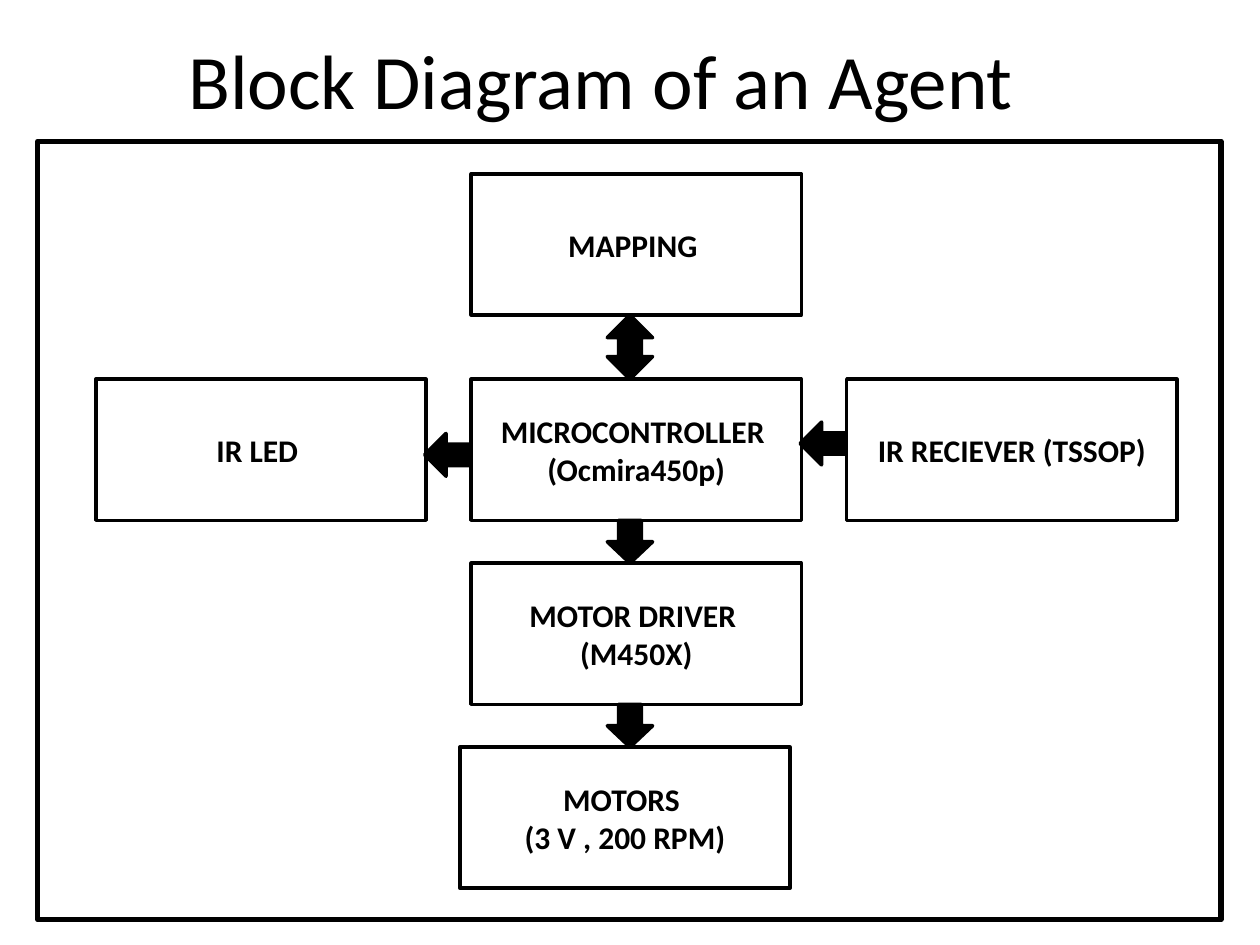
"""Build the slide with the block diagram of an agent."""
import pptx
import pptx.util
import pptx.dml.color
import pptx.enum.shapes
import pptx.enum.text

Inches = pptx.util.Inches
Kind = pptx.enum.shapes.MSO_SHAPE
THEME = {
    "font": "Calibri", "ink": "000000", "paper": "FFFFFF",
    "title": 44, "label": 18, "line": 2, "frame": 3,
}
TITLE = "Block Diagram of an Agent "
BOX_W, BOX_H = 2.62, 1.12
MID_X, MID_Y = 3.74, 3.01
STEP_X, STEP_Y = 2.98, 1.46
ARM = 0.36
GAP = STEP_Y - BOX_H
AXIS = 5.0
LEFT_X = MID_X - STEP_X
RIGHT_X = MID_X + STEP_X
TOP_Y = 1.38

BLOCKS = [
    (["MAPPING "], MID_X, TOP_Y),
    (["MICROCONTROLLER ", "(Ocmira450p)"], MID_X, MID_Y),
    (["MOTOR DRIVER ", "(M450X)"], MID_X, MID_Y + STEP_Y),
    (["IR LED "], LEFT_X, MID_Y),
    (["IR RECIEVER (TSSOP)"], RIGHT_X, MID_Y),
    (["MOTORS ", "(3 V , 200 RPM)"], 3.65, MID_Y + 2 * STEP_Y),
]
ARROWS = [
    (Kind.DOWN_ARROW, AXIS - ARM / 2, MID_Y + BOX_H, ARM, GAP, 0),
    (Kind.DOWN_ARROW, AXIS - ARM / 2, MID_Y + STEP_Y + BOX_H, ARM, GAP, 0),
    (Kind.DOWN_ARROW, MID_X + BOX_W, 3.34, GAP, ARM, 90),
    (Kind.DOWN_ARROW, LEFT_X + BOX_W, 3.43, GAP, ARM, 90),
    (Kind.UP_DOWN_ARROW, AXIS - ARM / 2, TOP_Y + BOX_H,
     ARM, MID_Y - TOP_Y - BOX_H, 0),
]


def tint(name):
    return pptx.dml.color.RGBColor.from_string(THEME[name])


def place(shape, x, y, w, h):
    shape.left, shape.top = Inches(x), Inches(y)
    shape.width, shape.height = Inches(w), Inches(h)


def write(shape, lines, size="label", bold=False):
    frame = shape.text_frame
    frame.word_wrap = True
    frame.vertical_anchor = pptx.enum.text.MSO_ANCHOR.MIDDLE
    frame.text = "\n".join(lines)
    for para in frame.paragraphs:
        para.alignment = pptx.enum.text.PP_ALIGN.CENTER
        font = para.font
        font.name, font.bold = THEME["font"], bold
        font.size = pptx.util.Pt(THEME[size])
        font.color.rgb = tint("ink")


def draw(slide, kind, x, y, w, h, fill=None, line="line"):
    spot = [Inches(n) for n in (x, y, w, h)]
    shape = slide.shapes.add_shape(kind, *spot)
    shape.shadow.inherit = False
    if fill:
        shape.fill.solid()
        shape.fill.fore_color.rgb = tint(fill)
    else:
        shape.fill.background()
    shape.line.color.rgb = tint("ink")
    shape.line.width = pptx.util.Pt(THEME[line])
    return shape


def main():
    deck = pptx.Presentation()
    deck.slide_width, deck.slide_height = Inches(10), Inches(7.5)
    slide = deck.slides.add_slide(deck.slide_layouts[5])
    title = slide.shapes.title
    place(title, 0.34, 0, 9, 1.25)
    write(title, [TITLE], size="title")
    for lines, x, y in BLOCKS:
        box = draw(slide, Kind.RECTANGLE, x, y, BOX_W, BOX_H, fill="paper")
        write(box, lines, bold=True)
    for kind, x, y, w, h, turn in ARROWS:
        arrow = draw(slide, kind, x, y, w, h, fill="ink")
        arrow.rotation = turn
    draw(slide, Kind.RECTANGLE, 0.3, 1.12, 9.39, 6.18, line="frame")
    deck.save("out.pptx")


if __name__ == "__main__":
    main()
